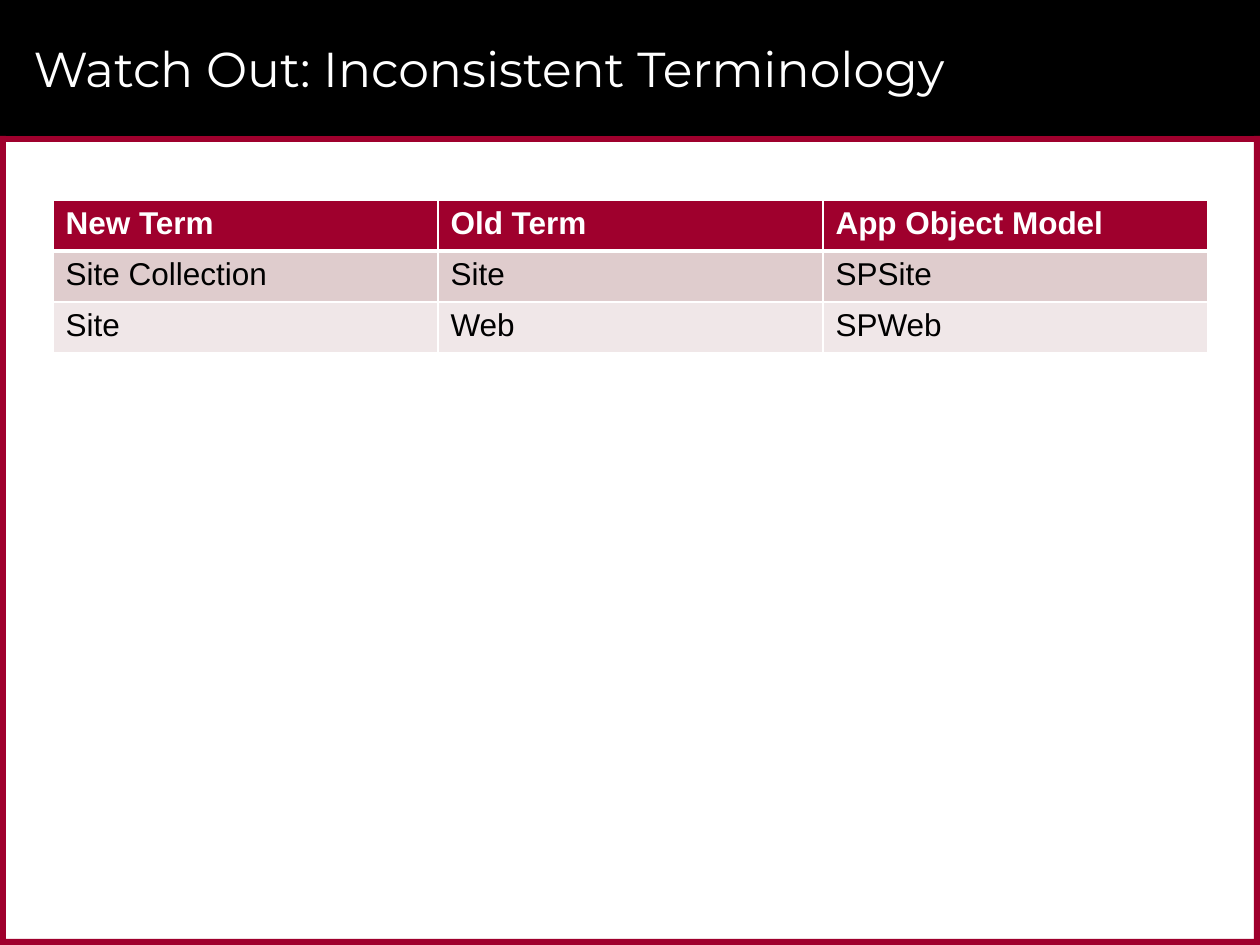
"""Build a slide with a framed title band and a table of matching terms."""
from lxml.etree import SubElement
from pptx import Presentation
from pptx.dml.color import RGBColor
from pptx.enum.shapes import MSO_SHAPE
from pptx.enum.text import MSO_ANCHOR, PP_ALIGN
from pptx.oxml.ns import qn
from pptx.util import Emu, Pt

THEME = {
    "black": RGBColor.from_string("000000"),
    "white": RGBColor.from_string("FFFFFF"),
    "crimson": RGBColor.from_string("9F002D"),
    "row_fills": [RGBColor.from_string(code) for code in ("9F002D", "DFCCCD", "F0E7E8")],
    "title": {"name": "Montserrat", "size": Pt(28), "bold": False},
    "header": {"name": "Arial", "size": Pt(18), "bold": True},
    "body": {"name": "Arial", "size": Pt(18), "bold": False},
}
WIDTH, HEIGHT, BAND, EDGE = 1260, 945, 136, 6
TERMS = [
    ("New Term", "Old Term", "App Object Model"),
    ("Site Collection", "Site", "SPSite"),
    ("Site", "Web", "SPWeb"),
]


def px(*lengths):
    return [Emu(round(length * 914400 / 126)) for length in lengths]


def write(frame, text, style, color):
    para = frame.paragraphs[0]
    para.alignment = PP_ALIGN.LEFT
    span = para.add_run()
    span.text = text
    for name, value in THEME[style].items():
        setattr(span.font, name, value)
    span.font.color.rgb = THEME[color]


deck = Presentation()
deck.slide_width, deck.slide_height = px(WIDTH, HEIGHT)
page = deck.slides.add_slide(deck.slide_layouts[5])

bars = [
    ("black", 0, 0, WIDTH, BAND),
    ("crimson", 0, BAND, WIDTH, EDGE),
    ("crimson", 0, HEIGHT - EDGE, WIDTH, EDGE),
    ("crimson", WIDTH - EDGE, BAND, EDGE, HEIGHT - BAND),
    ("crimson", 0, BAND, EDGE, HEIGHT - BAND),
]
for color, *place in bars:
    bar = page.shapes.add_shape(MSO_SHAPE.RECTANGLE, *px(*place))
    bar.shadow.inherit = False
    bar.fill.solid()
    bar.fill.fore_color.rgb = THEME[color]
    bar.line.fill.background()

title = page.shapes.title
title.element.getparent().append(title.element)
title.left, title.top, title.width, title.height = px(21, 10, 1187, 116)
title.text_frame.vertical_anchor = MSO_ANCHOR.MIDDLE
write(title.text_frame, "Watch Out: Inconsistent Terminology", "title", "white")

table = page.shapes.add_table(len(TERMS), len(TERMS[0]), *px(53, 200, 1155, 153)).table
for row, terms in enumerate(TERMS):
    for column, term in enumerate(terms):
        cell = table.cell(row, column)
        properties = cell._tc.get_or_add_tcPr()
        thick_side = {0: "lnB", 1: "lnT"}.get(row)
        for side in ("lnL", "lnR", "lnT", "lnB"):
            width = Pt(3 if side == thick_side else 1)
            border = SubElement(properties, qn(f"a:{side}"), w=str(width))
            fill = SubElement(border, qn("a:solidFill"))
            SubElement(fill, qn("a:srgbClr"), val=str(THEME["white"]))
        cell.fill.solid()
        cell.fill.fore_color.rgb = THEME["row_fills"][row]
        style, color = ("body", "black") if row else ("header", "white")
        write(cell.text_frame, term, style, color)

deck.save("out.pptx")
